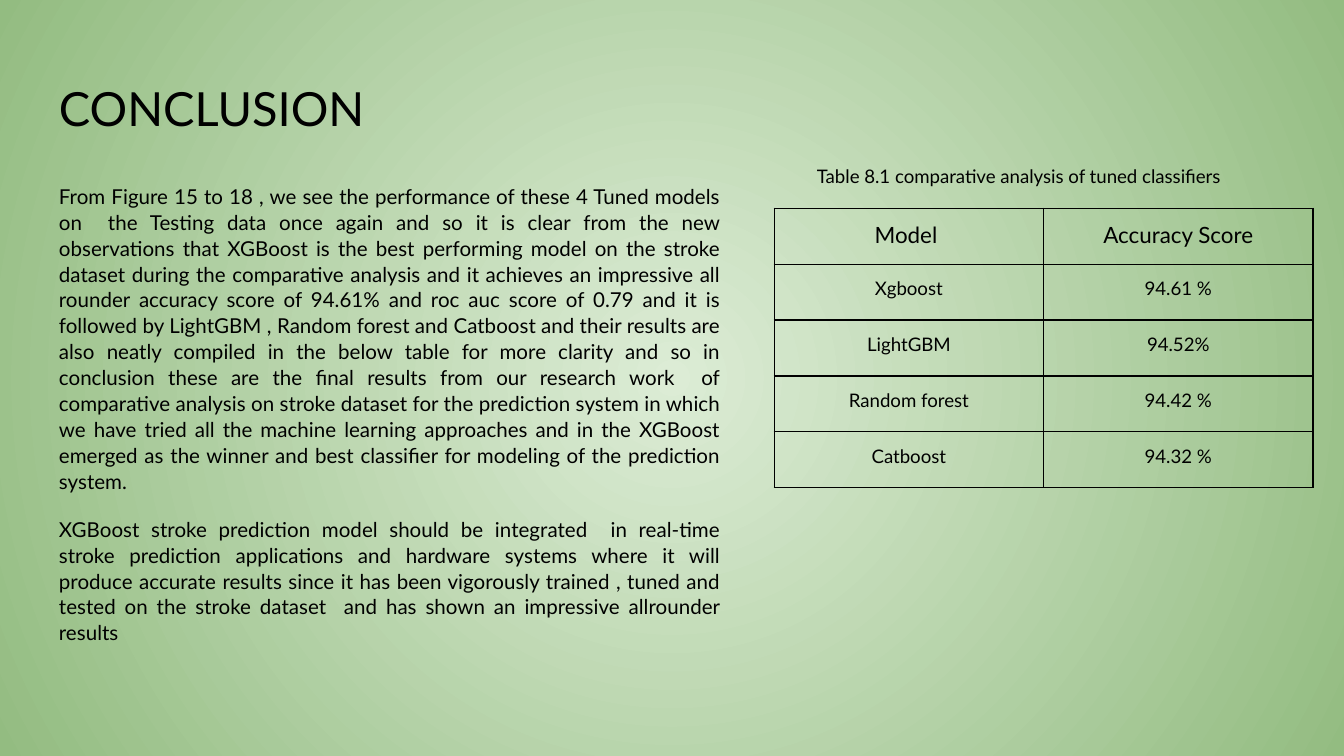
import pptx
import pptx.util
import pptx.dml.color
import pptx.enum.text
import pptx.oxml
import pptx.oxml.ns

Inches, Pt = pptx.util.Inches, pptx.util.Pt
ALIGN = pptx.enum.text.PP_ALIGN
COLORS = {"ink": "000000", "pale": "DCECD5", "green": "93BC81"}
FONT = "Lato"
NS = pptx.oxml.ns.nsdecls("a")
INSETS = {f"margin_{side}": Inches(0.1) for side in ("left", "right", "top", "bottom")}
BODY = [
    "From Figure 15 to 18 , we see the performance of these 4 Tuned models on  the Testing data "
    "once again and so it is clear from the new observations that XGBoost is the best performing "
    "model on the stroke dataset during the comparative analysis and it achieves an impressive all "
    "rounder accuracy score of 94.61% and roc auc score of 0.79 and it is followed by LightGBM , "
    "Random forest and Catboost and their results are also neatly compiled in the below table for "
    "more clarity and so in conclusion these are the final results from our research work  of "
    "comparative analysis on stroke dataset for the prediction system in which we have tried all "
    "the machine learning approaches and in the XGBoost emerged as the winner and best classifier "
    "for modeling of the prediction system.",
    "XGBoost stroke prediction model should be integrated  in real-time stroke prediction "
    "applications and hardware systems where it will produce accurate results since it has been "
    "vigorously trained , tuned and tested on the stroke dataset  and has shown an impressive "
    "allrounder results",
]
SCORES = [
    ("Model ", "Accuracy Score"),
    ("Xgboost", "94.61 %"),
    ("LightGBM", "94.52%"),
    ("Random forest", "94.42 %"),
    ("Catboost", "94.32 %"),
]


def color(name):
    """Return the named colour."""
    return pptx.dml.color.RGBColor.from_string(COLORS[name])


def apply(target, values):
    """Set each attribute of the target from a dict."""
    for name, value in values.items():
        setattr(target, name, value)


def write(para, text, size, form):
    """Fill a paragraph with one styled run."""
    apply(para, form)
    run = para.add_run()
    run.text = text
    apply(run.font, {"name": FONT, "size": Pt(size)})
    run.font.color.rgb = color("ink")


def add_text(slide, box, texts, size, form=None, gap=0):
    """Place a text box with evenly inset paragraphs."""
    frame = slide.shapes.add_textbox(*map(Inches, box)).text_frame
    apply(frame, {"word_wrap": True, **INSETS})
    for i, text in enumerate(texts):
        para = frame.add_paragraph() if i else frame.paragraphs[0]
        write(para, text, size, form or {})
        if i and gap:
            apply(para, {"space_before": Pt(gap), "space_after": Pt(gap)})


def add_border(cell):
    """Draw a thin line on every side of a cell."""
    props = cell._tc.get_or_add_tcPr()
    for i, side in enumerate(("lnL", "lnR", "lnT", "lnB")):
        props.insert(i, pptx.oxml.parse_xml(
            f'<a:{side} {NS} w="{Pt(0.75)}"><a:solidFill><a:srgbClr val="{COLORS["ink"]}"/>'
            f'</a:solidFill></a:{side}>'))


def add_scores(slide, box):
    """Place the table of accuracy scores."""
    rows, cols = len(SCORES), len(SCORES[0])
    table = slide.shapes.add_table(rows, cols, *map(Inches, box)).table
    apply(table, {"first_row": False, "horz_banding": False})
    for r, row in enumerate(SCORES):
        for c, text in enumerate(row):
            cell = table.cell(r, c)
            apply(cell, INSETS)
            cell.fill.background()
            add_border(cell)
            write(cell.text_frame.paragraphs[0], text, 10 if r else 12,
                  {"alignment": ALIGN.CENTER})


def add_ground(slide):
    """Fill the background with a round gradient."""
    fill = slide.background.fill
    fill.gradient()
    for stop, name in zip(fill.gradient_stops, ("pale", "green")):
        stop.color.rgb = color(name)
    grad = slide.background._cSld.find(".//" + pptx.oxml.ns.qn("a:gradFill"))
    line = grad.find(pptx.oxml.ns.qn("a:lin"))
    grad.replace(line, pptx.oxml.parse_xml(
        f'<a:path {NS} path="circle"><a:fillToRect l="50000" t="50000" r="50000" b="50000"/>'
        '</a:path>'))


def main():
    """Build and save the slide."""
    deck = pptx.Presentation()
    wide = Inches(10)
    apply(deck, {"slide_width": wide, "slide_height": wide * 9 // 16})
    slide = deck.slides.add_slide(deck.slide_layouts[6])
    add_ground(slide)
    add_text(slide, (0.34, 0.49, 9.32, 0.63), ["CONCLUSION"], 25.2)
    add_text(slide, (0.34, 1.26, 5.12, 3.74), BODY, 11,
             {"alignment": ALIGN.JUSTIFY, "line_spacing": 1.05}, 12)
    add_scores(slide, (5.76, 1.55, 4.01, 2.08))
    add_text(slide, (5.98, 1.14, 3.74, 0.37),
             ["Table 8.1 comparative analysis of tuned classifiers"], 10)
    deck.save("out.pptx")


if __name__ == "__main__":
    main()
